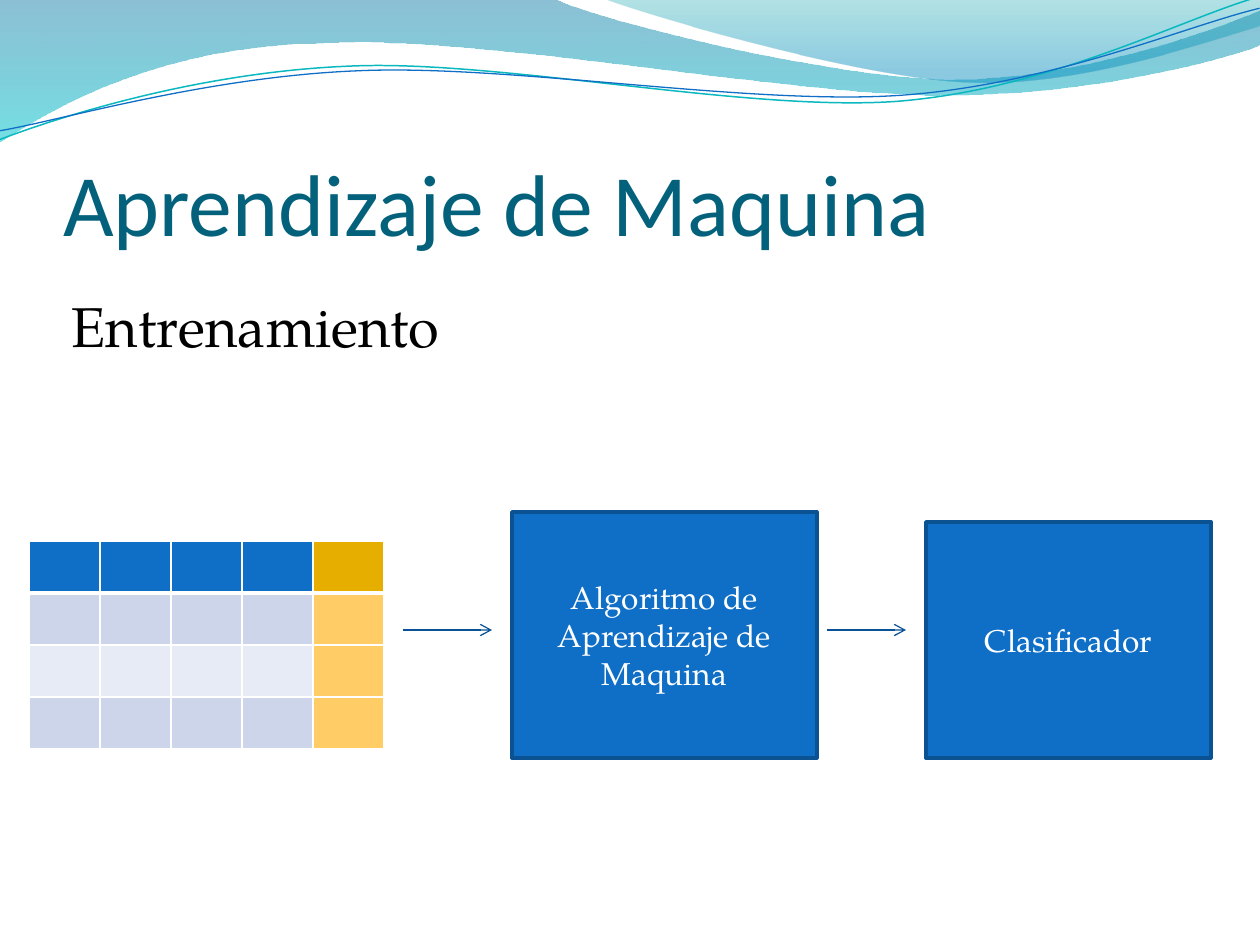
from lxml import etree
from pptx import Presentation, util as u
from pptx.dml.color import RGBColor
from pptx.enum import shapes, text
from pptx.oxml.ns import qn

EMU_PER_PX = 914400 / 126
COLORS = {
    "title": "04617B", "black": "000000", "white": "FFFFFF",
    "blue": "0F6FC6", "teal": "0AB8BF", "outline": "0B5292", "arrow": "095295",
    "gold": "E6AF00", "label": "FFCC66", "band": "CCD5EA", "light": "E7EBF5",
    "wave_top": "0074A1", "wave_bottom": "00C6CF",
    "crest_top": "00A1A9", "crest_bottom": "008BBF",
}
SERIF = "TeX Gyre Pagella"


def px(*lengths):
    return [u.Emu(round(length * EMU_PER_PX)) for length in lengths]


def write(frame, wording, color, font_format, align, anchor):
    frame.text = wording
    frame.word_wrap = True
    frame.vertical_anchor = anchor
    paragraph = frame.paragraphs[0]
    paragraph.alignment = align
    for name, value in font_format.items():
        setattr(paragraph.font, name, value)
    paragraph.font.color.rgb = RGBColor.from_string(COLORS[color])


presentation = Presentation()
presentation.slide_width, presentation.slide_height = px(1260, 945)
slide = presentation.slides.add_slide(presentation.slide_layouts[5])

# Wave outlines: two numbers are a corner, six are a Bezier curve
waves = [
    {"start": (0, 0),
     "stops": [(0, "wave_top", 45), (1, "wave_bottom", 55)],
     "steps": [(554, -1), (600, 21, 837, 79, 955, 79),
               (1075, 79, 1207, 33, 1260, 11), (1261, 45),
               (1239, 55, 1096, 96, 940, 95), (784, 95, 481, 35, 324, 43),
               (163, 45, 58, 105, -1, 142)]},
    {"start": (604, -1),
     "stops": [(0, "crest_top", 30), (0.8, "crest_bottom", 45)],
     "steps": [(641, 14, 859, 78, 969, 82), (1079, 87, 1211, 40, 1260, 26),
               (1260, 0)]},
    {"start": (-3, 110), "line": ("teal", 0.85),
     "steps": [(58, 90, 199, 52, 350, 53), (499, 53, 745, 118, 896, 114),
               (1049, 109, 1184, 45, 1260, 27)]},
    {"start": (-2, 101), "line": ("blue", 0.75),
     "steps": [(57, 94, 207, 57, 357, 58), (509, 58, 750, 112, 902, 108),
               (1052, 104, 1188, 52, 1262, 38)]},
]
for wave in waves:
    points = [px(*step[i:i + 2]) for step in wave["steps"] for i in range(0, len(step), 2)]
    builder = slide.shapes.build_freeform(*px(*wave["start"]))
    builder.add_line_segments(points, close="stops" in wave)
    shape = builder.convert_to_shape()
    shape.shadow.inherit = False

    # Join each three points of a curve into one Bezier segment
    segments = iter(list(shape._element.spPr.iter(qn("a:lnTo"))))
    for step in wave["steps"]:
        segment = next(segments)
        if len(step) == 6:
            segment.tag = qn("a:cubicBezTo")
            for _ in range(2):
                other = next(segments)
                segment.append(other[0])
                other.getparent().remove(other)

    if "stops" in wave:
        shape.line.fill.background()
        shape.fill.gradient()
        shape.fill.gradient_angle = 270
        for stop, (position, color, _) in zip(shape.fill.gradient_stops, wave["stops"]):
            stop.position = position
            stop.color.rgb = RGBColor.from_string(COLORS[color])
        tints = shape._element.spPr.iter(qn("a:srgbClr"))
        for tint, (_, _, opacity) in zip(list(tints), wave["stops"]):
            etree.SubElement(tint, qn("a:alpha"), val=str(opacity * 1000))
    else:
        color, width = wave["line"]
        shape.rotation = 357.3
        shape.fill.background()
        shape.line.color.rgb = RGBColor.from_string(COLORS[color])
        shape.line.width = u.Pt(width)

# Title
title = slide.shapes.title
title.left, title.top, title.width, title.height = px(63, 96, 1134, 158)
write(title.text_frame, "Aprendizaje de Maquina", "title",
      {"size": u.Pt(50), "name": "Calibri"}, text.PP_ALIGN.LEFT, text.MSO_ANCHOR.BOTTOM)
title_format = {"auto_size": text.MSO_AUTO_SIZE.NONE, "margin_left": 0,
                "margin_right": 0, "margin_bottom": 0, "margin_top": u.Inches(0.05)}
for name, value in title_format.items():
    setattr(title.text_frame, name, value)

# Subtitle
subtitle = slide.shapes.add_textbox(*px(59, 285, 837, 81))
write(subtitle.text_frame, "Entrenamiento", "black",
      {"size": u.Pt(32), "name": SERIF}, text.PP_ALIGN.LEFT, text.MSO_ANCHOR.TOP)

# Training data: the last column holds the class
ROWS, COLUMNS = 4, 5
table = slide.shapes.add_table(ROWS, COLUMNS, *px(29, 541, 71 * COLUMNS, 52 * ROWS)).table
for column in table.columns:
    column.width = px(71)[0]
for row_index, row in enumerate(table.rows):
    row.height = px(52)[0]
    for column_index, cell in enumerate(row.cells):
        if column_index == COLUMNS - 1:
            color = "label" if row_index else "gold"
        else:
            color = ("blue", "band", "light", "band")[row_index]
        cell.fill.solid()
        cell.fill.fore_color.rgb = RGBColor.from_string(COLORS[color])
        for index, side in enumerate(("lnL", "lnR", "lnT", "lnB")):
            under_header = (row_index, side) in ((0, "lnB"), (1, "lnT"))
            border = etree.Element(qn("a:" + side), w=str(u.Pt(3 if under_header else 1)))
            border_fill = etree.SubElement(border, qn("a:solidFill"))
            etree.SubElement(border_fill, qn("a:srgbClr"), val=COLORS["white"])
            cell._tc.get_or_add_tcPr().insert(index, border)

# Process boxes
for wording, box in (("Algoritmo de Aprendizaje de Maquina", (512, 512, 305, 246)),
                     ("Clasificador", (926, 522, 285, 236))):
    shape = slide.shapes.add_shape(shapes.MSO_SHAPE.RECTANGLE, *px(*box))
    shape.shadow.inherit = False
    shape.fill.solid()
    shape.fill.fore_color.rgb = RGBColor.from_string(COLORS["blue"])
    shape.line.color.rgb = RGBColor.from_string(COLORS["outline"])
    shape.line.width = u.Pt(2)
    write(shape.text_frame, wording, "white", {"size": u.Pt(18), "name": SERIF},
          text.PP_ALIGN.CENTER, text.MSO_ANCHOR.MIDDLE)

# Arrows between the stages
for start, end in ((403, 492), (827, 906)):
    arrow = slide.shapes.add_connector(shapes.MSO_CONNECTOR.STRAIGHT, *px(start, 630, end, 630))
    arrow.line.color.rgb = RGBColor.from_string(COLORS["arrow"])
    arrow.line.width = u.Pt(0.75)
    etree.SubElement(arrow.line._get_or_add_ln(), qn("a:tailEnd"), type="arrow")
    etree.SubElement(arrow._element.spPr, qn("a:effectLst"))

presentation.save("out.pptx")
